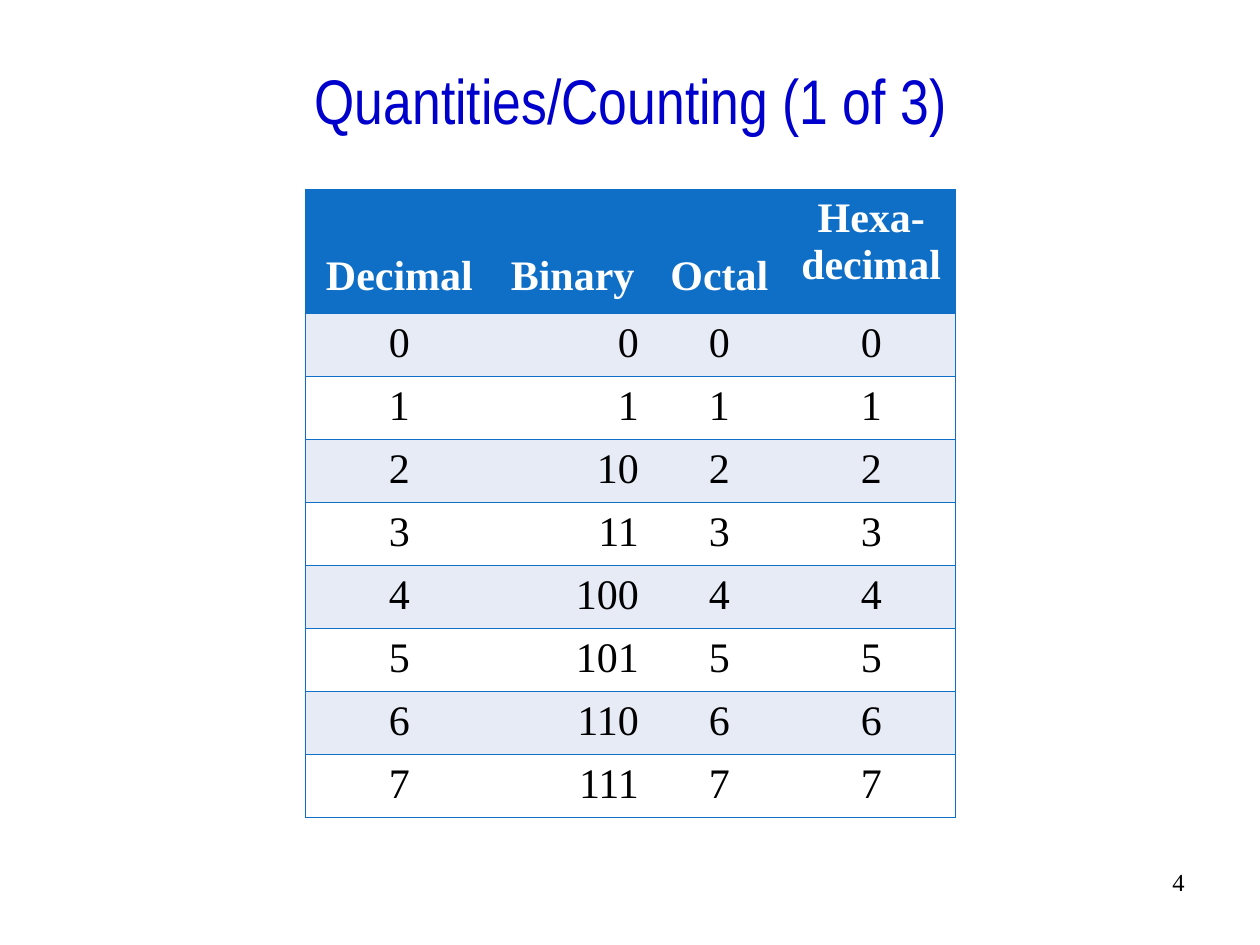
from lxml.etree import SubElement
from pptx import Presentation
from pptx.dml.color import RGBColor
from pptx.enum.text import MSO_ANCHOR, PP_ALIGN
from pptx.oxml.ns import qn
from pptx.util import Inches, Pt

TITLE = "Quantities/Counting (1 of 3)"
SLIDE_NUMBER = "4"
# heading, width, alignment of the numbers, number format
COLUMNS = [
    ("Decimal", 1.5, PP_ALIGN.CENTER, "d"),
    ("Binary", 1.25, PP_ALIGN.RIGHT, "b"),
    ("Octal", 1.08, PP_ALIGN.CENTER, "o"),
    ("Hexa-\vdecimal", 1.33, PP_ALIGN.CENTER, "X"),
]
QUANTITIES = range(8)
HEADER_HEIGHT, ROW_HEIGHT = 0.99, 0.5
TABLE_LEFT, TABLE_TOP = 2.42, 1.5

THEME = {
    "title_font": "Arial Narrow", "body_font": "Times New Roman",
    "title_size": 36, "table_size": 24, "number_size": 14,
    "title": "0000CC", "text": "000000", "header_text": "FFFFFF",
    "header": "0F6FC6", "bands": ("E7EBF5", "FFFFFF"),
    "border": "0F6FC6", "border_width": 0.45,
}


def style_text(text_frame, font, size, color, alignment, bold=False):
    for paragraph in text_frame.paragraphs:
        paragraph.alignment = alignment
        for run in paragraph.runs:
            run.font.name = font
            run.font.size = Pt(size)
            run.font.bold = bold
            run.font.color.rgb = RGBColor.from_string(color)


def set_borders(cell, visible):
    """Rule the sides named in visible and clear the others; call before filling."""
    properties = cell._tc.get_or_add_tcPr()
    for side in "LRTB":
        line = SubElement(properties, qn(f"a:ln{side}"), w=str(Pt(THEME["border_width"])))
        if side in visible:
            fill = SubElement(line, qn("a:solidFill"))
            SubElement(fill, qn("a:srgbClr"), val=THEME["border"])
        else:
            SubElement(line, qn("a:noFill"))


def format_cell(cell, text, fill, color, alignment, visible, bold=False):
    cell.text_frame.text = text
    style_text(cell.text_frame, THEME["body_font"], THEME["table_size"], color, alignment, bold)
    set_borders(cell, visible)
    cell.fill.solid()
    cell.fill.fore_color.rgb = RGBColor.from_string(fill)


def add_title(slide):
    title = slide.shapes.title
    title.left, title.top = Inches(0.17), Inches(0.33)
    title.width, title.height = Inches(9.67), Inches(0.92)
    title.text_frame.text = TITLE
    title.text_frame.vertical_anchor = MSO_ANCHOR.MIDDLE
    style_text(title.text_frame, THEME["title_font"], THEME["title_size"],
               THEME["title"], PP_ALIGN.CENTER)


def add_counting_table(slide):
    heights = [HEADER_HEIGHT] + [ROW_HEIGHT] * len(QUANTITIES)
    width = sum(column[1] for column in COLUMNS)
    table = slide.shapes.add_table(
        len(heights), len(COLUMNS), Inches(TABLE_LEFT), Inches(TABLE_TOP),
        Inches(width), Inches(sum(heights))).table
    for row, height in zip(table.rows, heights):
        row.height = Inches(height)

    last = len(COLUMNS) - 1
    for index, (heading, width, alignment, number_format) in enumerate(COLUMNS):
        table.columns[index].width = Inches(width)
        visible = "TB" + ("L" if index == 0 else "") + ("R" if index == last else "")
        header = table.cell(0, index)
        format_cell(header, heading, THEME["header"], THEME["header_text"],
                    PP_ALIGN.CENTER, visible, bold=True)
        if "\v" not in heading:
            header.vertical_anchor = MSO_ANCHOR.BOTTOM
            header.margin_bottom = Inches(0.11)
        for quantity in QUANTITIES:
            format_cell(table.cell(quantity + 1, index), format(quantity, number_format),
                        THEME["bands"][quantity % 2], THEME["text"], alignment, visible)


def add_slide_number(slide):
    box = slide.shapes.add_textbox(Inches(7.42), Inches(6.83), Inches(2.08), Inches(0.5))
    box.text_frame.word_wrap = True
    box.text_frame.text = SLIDE_NUMBER
    style_text(box.text_frame, THEME["body_font"], THEME["number_size"],
               THEME["text"], PP_ALIGN.RIGHT)


def main():
    presentation = Presentation()
    presentation.slide_width, presentation.slide_height = Inches(10), Inches(7.5)
    slide = presentation.slides.add_slide(presentation.slide_layouts.get_by_name("Title Only"))
    add_title(slide)
    add_counting_table(slide)
    add_slide_number(slide)
    presentation.save("out.pptx")


if __name__ == "__main__":
    main()
